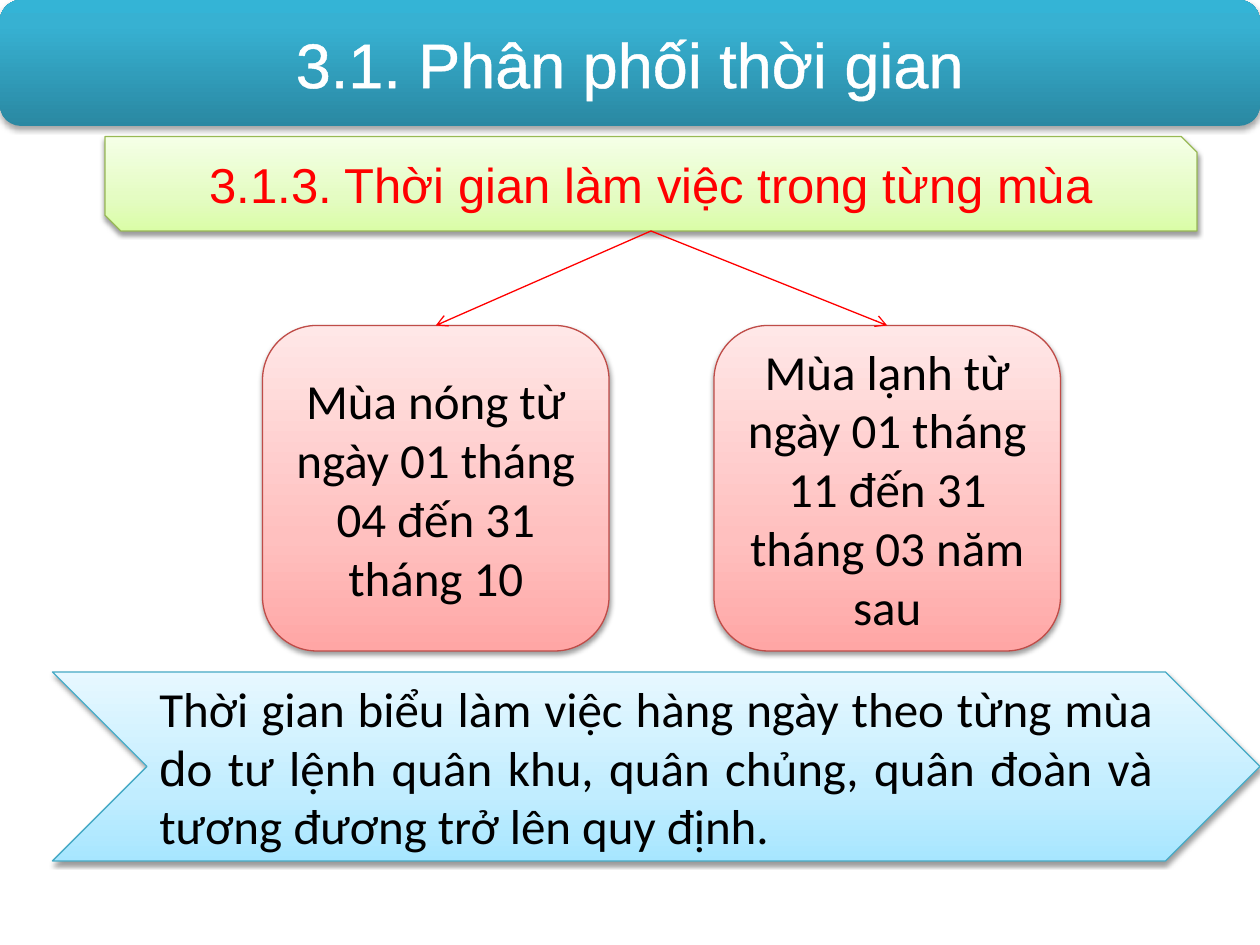
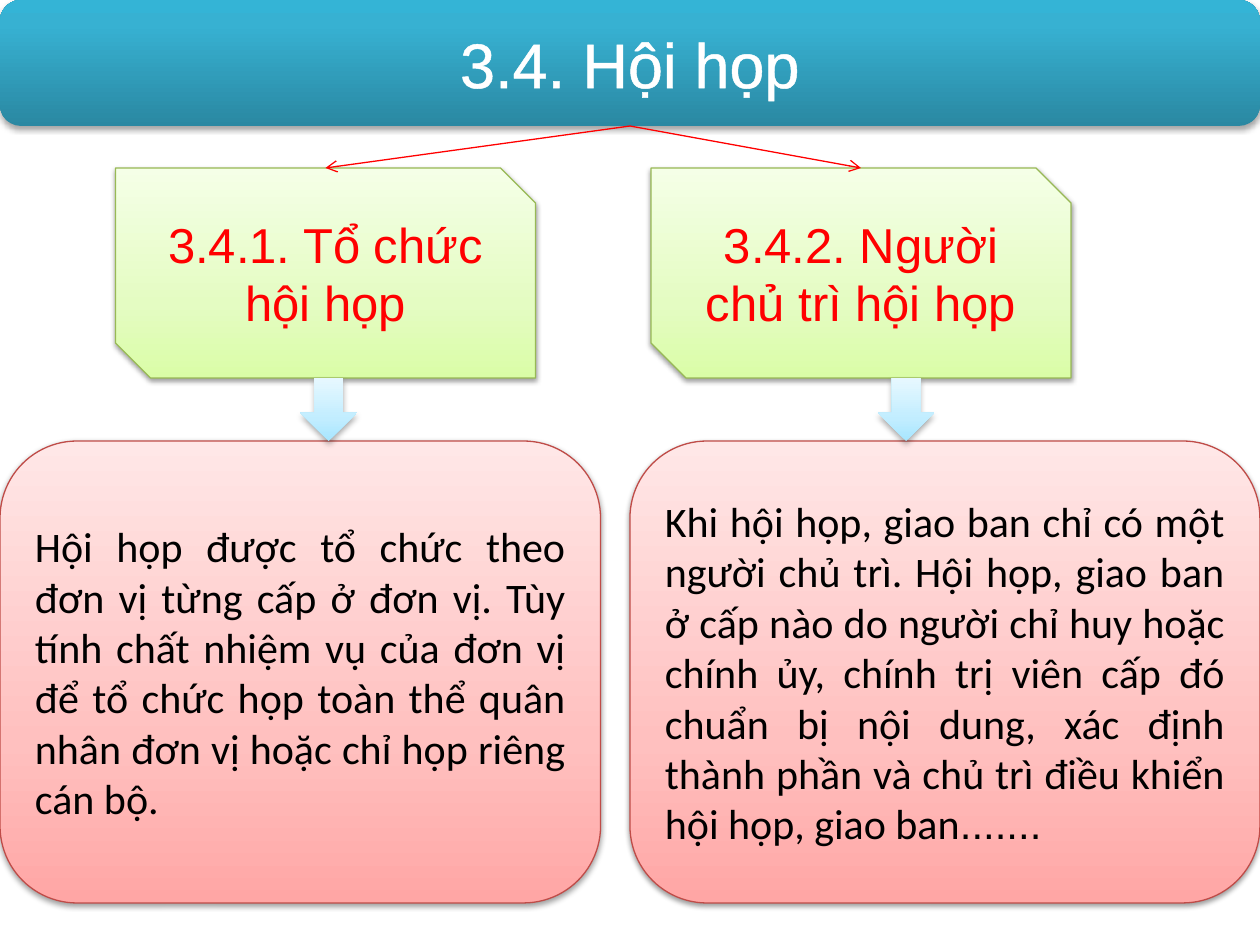
from lxml.etree import SubElement
from pptx import Presentation
from pptx.dml.color import RGBColor
from pptx.enum.shapes import MSO_CONNECTOR, MSO_SHAPE
from pptx.enum.text import MSO_ANCHOR, PP_ALIGN
from pptx.oxml.ns import qn
from pptx.util import Pt

SCALE = 7620  # EMU in one px, 120 px to the inch

CARD = (38, 3.1, 1.6)  # shadow: alpha in percent, blur and distance in points
SKY = ((0, "A7E6FF"), (35, "C1EDFF"), (100, "E7F8FF"))
KINDS = {
    "title": dict(
        form=MSO_SHAPE.ROUNDED_RECTANGLE,
        stops=((0, "2A88A2"), (80, "37B1D2"), (100, "34B4D6")),
        line=None, shade=(35, 3.1, 1.8), font="Arial", size=36, ink="FFFFFF"),
    "head": dict(
        form=MSO_SHAPE.SNIP_2_DIAG_RECTANGLE,
        stops=((0, "DAFDA7"), (35, "E4FCC2"), (100, "F5FFE7")),
        line="98B955", shade=CARD, font="Arial", size=28, ink="FF0000"),
    "card": dict(
        form=MSO_SHAPE.ROUNDED_RECTANGLE,
        stops=((0, "FFA6A5"), (35, "FFC0BF"), (100, "FFE7E7")),
        line="BF4C48", shade=CARD, font="Calibri", size=28, ink="000000"),
    "note": dict(
        form=MSO_SHAPE.CHEVRON, stops=SKY,
        line="46AAC5", shade=CARD, font="Calibri", size=28, ink="000000"),
    "arrow": dict(
        form=MSO_SHAPE.DOWN_ARROW, stops=SKY, line=None, shade=(32, 3.5, 2.2)),
}


def px(*nums):
    return [num * SCALE for num in nums]


def tint(code):
    return RGBColor.from_string(code)


def node(parent, tag, **attrs):
    """Add a drawing element below parent."""
    return SubElement(parent, qn("a:" + tag), {k: str(v) for k, v in attrs.items()})


def apply(target, **values):
    for name, value in values.items():
        setattr(target, name, value)


class Deck:
    def __init__(self):
        self.file = Presentation()
        apply(self.file, slide_width=px(1200)[0], slide_height=px(900)[0])
        self.slide = None

    def page(self, title):
        """Start a slide and return its title band."""
        self.slide = self.file.slides.add_slide(self.file.slide_layouts[6])
        band = self.box("title", (0, 0, 1200, 120), title)
        for run in band.text_frame.paragraphs[0].runs:
            props = run._r.get_or_add_rPr()
            edge = node(props, "ln", w=Pt(1.45))
            node(node(edge, "solidFill"), "srgbClr", val="FFFFFF")
            props.insert(0, edge)
        return band

    def box(self, kind, place, *runs, align=PP_ALIGN.CENTER, size=None):
        """Draw a shape of a kind; a run is text or a (text, font) pair."""
        look = KINDS[kind]
        shape = self.slide.shapes.add_shape(look["form"], *px(*place))
        self.fill(shape, look["stops"])
        if look["line"]:
            shape.line.width = Pt(0.75)
            shape.line.color.rgb = tint(look["line"])
        else:
            shape.line.fill.background()
        self.shade(shape, *look["shade"])
        if runs:
            frame = shape.text_frame
            apply(frame, word_wrap=True, vertical_anchor=MSO_ANCHOR.MIDDLE)
            para = frame.paragraphs[0]
            para.alignment = align
            for item in runs:
                text, font = (item, look["font"]) if isinstance(item, str) else item
                run = para.add_run()
                run.text = text
                apply(run.font, name=font, size=Pt(size or look["size"]))
                run.font.color.rgb = tint(look["ink"])
        return shape

    def fill(self, shape, stops):
        """Fill with a gradient that runs from bottom to top."""
        shape.fill.gradient()
        shape.fill.gradient_angle = 90
        group = shape._element.spPr.find(".//" + qn("a:gsLst"))
        group.clear()
        for pos, code in stops:
            node(node(group, "gs", pos=pos * 1000), "srgbClr", val=code)

    def shade(self, shape, alpha, blur, gap):
        """Cast a soft shadow straight down."""
        shape.shadow.inherit = False
        group = shape._element.spPr.find(qn("a:effectLst"))
        cast = node(group, "outerShdw", blurRad=Pt(blur), dist=Pt(gap),
                    dir=5400000, rotWithShape=0)
        node(node(cast, "srgbClr", val="000000"), "alpha", val=alpha * 1000)

    def link(self, top, low):
        """Join the bottom of one box to the top of another with an arrow."""
        line = self.slide.shapes.add_connector(MSO_CONNECTOR.STRAIGHT, 0, 0, 0, 0)
        line.begin_connect(top, 2)
        line.end_connect(low, 0)
        line.line.width = Pt(0.75)
        line.line.color.rgb = tint("FF0000")
        props = line._element.spPr
        node(props.find(qn("a:ln")), "tailEnd", type="arrow")
        node(props, "effectLst")


def seasons(deck):
    deck.page("3.1. Phân phối thời gian")
    head = deck.box("head", (100, 130, 1040, 90),
                    "3.1.3. Thời gian làm việc trong từng mùa")
    cards = [deck.box("card", (left, 310, 330, 310), text) for left, text in (
        (250, "Mùa nóng từ ngày 01 tháng 04 đến 31 tháng 10"),
        (680, "Mùa lạnh từ ngày 01 tháng 11 đến 31 tháng 03 năm sau"))]
    deck.box("note", (50, 640, 1150, 180),
             "Thời gian biểu làm việc hàng ngày theo từng mùa ", ("d", "Arial"),
             "o tư lệnh quân khu, quân chủng, quân đoàn và tương đương trở lên quy định.",
             align=PP_ALIGN.JUSTIFY)
    for card in cards:
        deck.link(head, card)


def meetings(deck):
    title = deck.page("3.4. Hội họp")
    topics = (
        (110, "3.4.1. Tổ chức hội họp", 286, 0, 572,
         ["Hội họp được tổ chức theo đơn vị từng cấp ở đơn vị. Tùy tính chất "
          "nhiệm vụ của đơn vị để tổ chức họp toàn thể quân nhân đơn vị hoặc "
          "chỉ họp riêng cán bộ."]),
        (620, "3.4.2. Người chủ trì hội họp", 836, 600, 600,
         ["Khi hội họp, giao ban chỉ có một người chủ trì. Hội họp, giao ban ở "
          "cấp nào do người chỉ huy hoặc chính ủy, chính trị viên cấp đó chuẩn "
          "bị nội dung, xác định thành phần và chủ trì điều khiển hội họp, "
          "giao ban", (".......", "Arial")]),
    )
    for left, name, mark, start, width, runs in topics:
        head = deck.box("head", (left, 160, 400, 200), name)
        deck.box("card", (start, 420, width, 440), *runs,
                 align=PP_ALIGN.JUSTIFY, size=24)
        deck.link(title, head)
        deck.box("arrow", (mark, 360, 54, 60))


def main():
    deck = Deck()
    seasons(deck)
    meetings(deck)
    deck.file.save("out.pptx")


if __name__ == "__main__":
    main()
